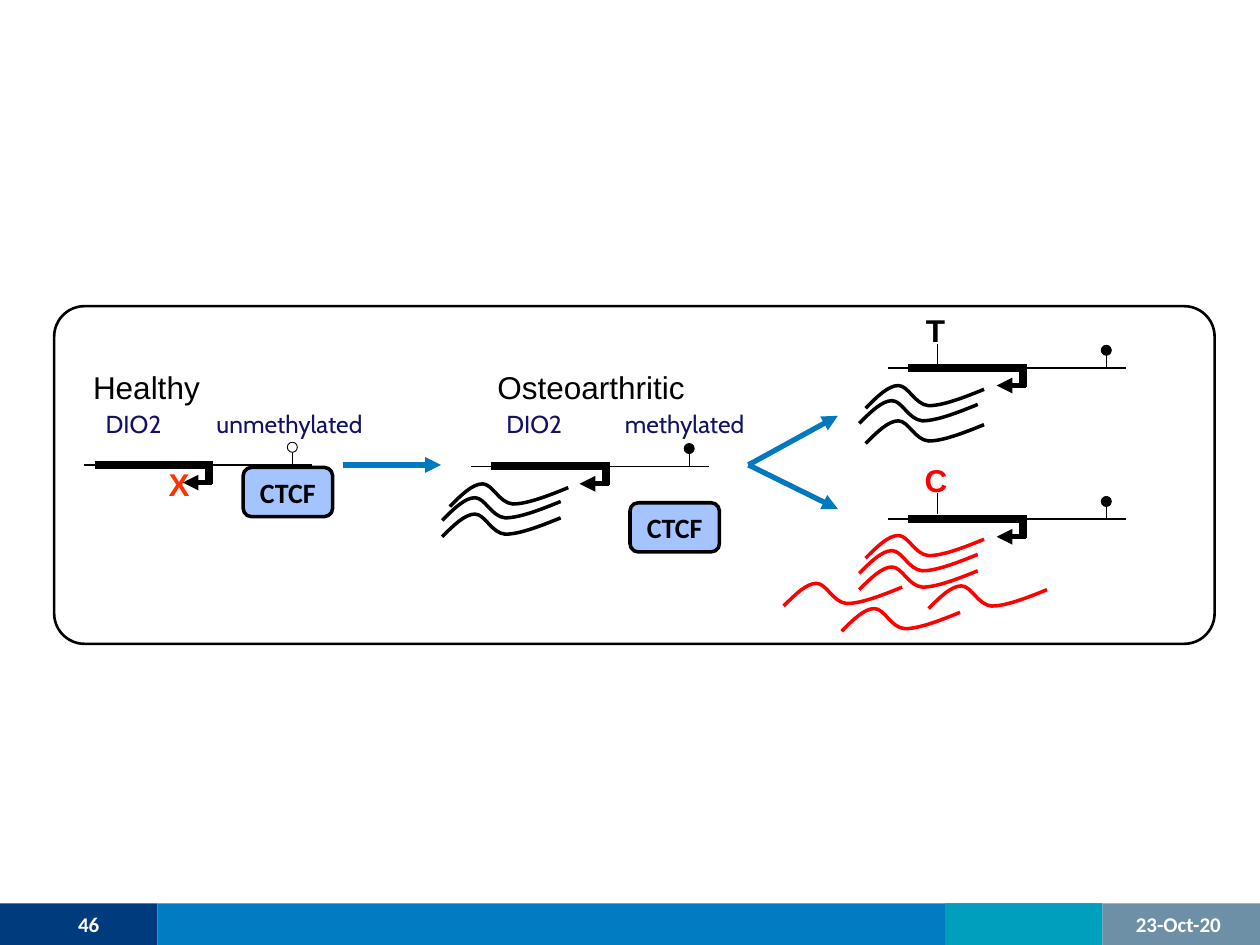
from dataclasses import dataclass

from lxml import etree
from pptx import Presentation
from pptx.dml.color import RGBColor
from pptx.enum import shapes as kinds, text as layout
from pptx.oxml import ns
from pptx.util import Inches, Pt


@dataclass(frozen=True)
class Theme:
    black: str = "000000"
    white: str = "FFFFFF"
    red: str = "FF0000"
    cross: str = "FF3300"
    arrow: str = "0079BE"
    protein: str = "A3C4FF"
    gene_label: str = "111166"
    navy: str = "003C7D"
    blue: str = "007CC2"
    teal: str = "009FBD"
    grey: str = "6E90A6"
    heading_size: int = 18
    protein_size: int = 16
    label_size: int = 14
    footer_size: int = 12


THEME = Theme()
SHAPE = kinds.MSO_SHAPE
ALIGN = layout.PP_ALIGN

# A transcript: its start, then two control points and an end per curve
WAVE_START = (0, 0.18)
WAVE_CURVES = [
    (0.09, 0.09), (0.18, 0), (0.26, 0),
    (0.34, 0), (0.39, 0.15), (0.5, 0.16),
    (0.61, 0.16), (0.77, 0.1), (0.94, 0.03),
]


def rgb(color):
    return RGBColor.from_string(color)


def add_box(shapes, kind, left, top, width, height, fill, line=None, weight=0):
    shape = shapes.add_shape(kind, Inches(left), Inches(top), Inches(width), Inches(height))
    shape.shadow.inherit = False
    shape.fill.solid()
    shape.fill.fore_color.rgb = rgb(fill)
    if line:
        shape.line.color.rgb = rgb(line)
        shape.line.width = Pt(weight)
    else:
        shape.line.fill.background()
    return shape


def add_line(shapes, start, end, weight=0.75, color=THEME.black, arrow=False):
    connector = shapes.add_connector(
        kinds.MSO_CONNECTOR.STRAIGHT, *(Inches(value) for value in (*start, *end)))
    connector.line.color.rgb = rgb(color)
    connector.line.width = Pt(weight)
    if arrow:
        line = connector.line._get_or_add_ln()
        etree.SubElement(line, ns.qn("a:tailEnd"), type="triangle")
    etree.SubElement(connector._element.spPr, ns.qn("a:effectLst"))


def add_run(paragraph, words, size, font, color, bold=False):
    run = paragraph.add_run()
    run.text = words
    run.font.size = Pt(size)
    run.font.name = font
    run.font.bold = bold
    run.font.color.rgb = rgb(color)


def add_text_box(shapes, left, top, width, height, wrap=False):
    box = shapes.add_textbox(Inches(left), Inches(top), Inches(width), Inches(height))
    box.text_frame.word_wrap = wrap
    return box.text_frame


def add_heading(shapes, words, left, top, width, color=THEME.black, bold=False):
    frame = add_text_box(shapes, left, top, width, 0.4)
    frame.auto_size = layout.MSO_AUTO_SIZE.SHAPE_TO_FIT_TEXT
    add_run(frame.paragraphs[0], words, THEME.heading_size, "Arial", color, bold)


def add_gene_label(shapes, state, left, width, tab):
    """Gene name and methylation state, parted by a tab stop."""
    paragraph = add_text_box(shapes, left, 3.2, width, 0.34, wrap=True).paragraphs[0]
    stops = etree.SubElement(paragraph._p.get_or_add_pPr(), ns.qn("a:tabLst"))
    etree.SubElement(stops, ns.qn("a:tab"), pos=str(Inches(tab)), algn="l")
    add_run(paragraph, f"DIO2\t{state}", THEME.label_size, "Cabin", THEME.gene_label)


def add_gene(shapes, left, top, lead=0.16, methylated=True):
    """Gene bar with its promoter arrow and the CpG marker upstream."""
    add_line(shapes, (left - lead, top), (left + 0.63, top))
    add_line(shapes, (left, top), (left + 0.94, top), 4.5)
    add_line(shapes, (left + 0.55, top), (left + 1.73, top))
    add_line(shapes, (left + 0.91, top), (left + 0.91, top + 0.15), 4.5)
    add_line(shapes, (left + 0.93, top + 0.14), (left + 0.7, top + 0.14), 3, arrow=True)
    add_line(shapes, (left + 1.57, top), (left + 1.57, top - 0.17))
    add_box(shapes, SHAPE.OVAL, left + 1.53, top - 0.18, 0.08, 0.08,
            THEME.black if methylated else THEME.white, THEME.black, 0.5)


def bend_segments(shape):
    """Turn every three straight segments into one cubic Bezier curve."""
    segments = list(shape._element.iter(ns.qn("a:lnTo")))
    for index in range(0, len(segments), 3):
        curve = etree.Element(ns.qn("a:cubicBezTo"))
        segments[index].addprevious(curve)
        for segment in segments[index:index + 3]:
            curve.append(segment[0])
            segment.getparent().remove(segment)


def add_transcripts(shapes, places, color=THEME.black):
    for left, top in places:
        builder = shapes.build_freeform(
            Inches(left + WAVE_START[0]), Inches(top + WAVE_START[1]))
        builder.add_line_segments(
            [(Inches(left + x), Inches(top + y)) for x, y in WAVE_CURVES], close=False)
        wave = builder.convert_to_shape()
        bend_segments(wave)
        wave.shadow.inherit = False
        wave.fill.background()
        wave.line.color.rgb = rgb(color)
        wave.line.width = Pt(2)


def add_protein(shapes, left, top):
    shape = add_box(shapes, SHAPE.ROUNDED_RECTANGLE, left, top, 0.71, 0.39,
                    THEME.protein, THEME.black, 2)
    frame = shape.text_frame
    frame.word_wrap = False
    frame.vertical_anchor = layout.MSO_ANCHOR.MIDDLE
    frame.paragraphs[0].alignment = ALIGN.CENTER
    add_run(frame.paragraphs[0], "CTCF", THEME.protein_size, "Calibri", THEME.black, True)


def add_footer(shapes):
    bands = [(0, 1.25, THEME.navy), (1.25, 7.5, THEME.blue),
             (7.5, 1.25, THEME.teal), (8.75, 1.25, THEME.grey)]
    for left, width, color in bands:
        add_box(shapes, SHAPE.RECTANGLE, left, 7.17, width, 0.33, color)
    for words, left, width, alignment in [("46", 0.62, 0.59, ALIGN.LEFT),
                                          ("23-Oct-20", 8.75, 0.94, ALIGN.RIGHT)]:
        frame = add_text_box(shapes, left, 7.17, width, 0.33, wrap=True)
        frame.margin_left = frame.margin_right = frame.margin_top = frame.margin_bottom = 0
        frame.vertical_anchor = layout.MSO_ANCHOR.MIDDLE
        frame.paragraphs[0].alignment = alignment
        add_run(frame.paragraphs[0], words, THEME.footer_size, "Calibri", THEME.white, True)


def add_healthy(shapes):
    add_gene(shapes, 0.75, 3.69, lead=0.08, methylated=False)
    add_heading(shapes, "X", 1.24, 3.64, 0.37, THEME.cross, True)
    add_heading(shapes, "Healthy", 0.64, 2.87, 1.06)
    add_protein(shapes, 1.93, 3.71)
    add_gene_label(shapes, "unmethylated", 0.74, 2.27, 0.88)


def add_osteoarthritic(shapes):
    add_line(shapes, (2.72, 3.69), (3.5, 3.69), 3, THEME.arrow, arrow=True)
    add_gene(shapes, 3.9, 3.7)
    add_transcripts(shapes, [(3.51, 4.08), (3.51, 3.95), (3.57, 3.84)])
    add_heading(shapes, "Osteoarthritic", 3.85, 2.87, 1.7)
    add_protein(shapes, 5, 3.99)
    add_gene_label(shapes, "methylated", 3.92, 2.18, 0.94)


def add_alleles(shapes):
    for end in [(6.65, 3.3), (6.65, 4.04)]:
        add_line(shapes, (5.94, 3.69), end, 3, THEME.arrow, arrow=True)
    for letter, left, top, gene_top, tick_top, color in [
            ("T", 7.25, 2.42, 2.92, 2.73, THEME.black),
            ("C", 7.24, 3.61, 4.12, 3.91, THEME.red)]:
        add_gene(shapes, 7.21, gene_top)
        add_line(shapes, (7.44, tick_top + 0.17), (7.44, tick_top))
        add_heading(shapes, letter, left, top, 0.37, color, True)
    add_transcripts(shapes, [(6.82, 3.18), (6.87, 3.06), (6.87, 3.34)])
    add_transcripts(shapes, [(6.82, 4.5), (6.82, 4.37), (6.87, 4.25),
                             (6.22, 4.63), (6.68, 4.83), (7.37, 4.65)], THEME.red)


def main():
    presentation = Presentation()
    presentation.slide_width, presentation.slide_height = Inches(10), Inches(7.5)
    slide = presentation.slides.add_slide(presentation.slide_layouts[6])
    add_footer(slide.shapes)
    panel = add_box(slide.shapes, SHAPE.ROUNDED_RECTANGLE, 0.43, 2.43, 9.21, 2.68,
                    THEME.white, THEME.black, 1.5)
    panel.adjustments[0] = 0.09
    add_healthy(slide.shapes)
    for add_stage in (add_alleles, add_osteoarthritic):
        add_stage(slide.shapes.add_group_shape().shapes)
    presentation.save("out.pptx")


if __name__ == "__main__":
    main()
